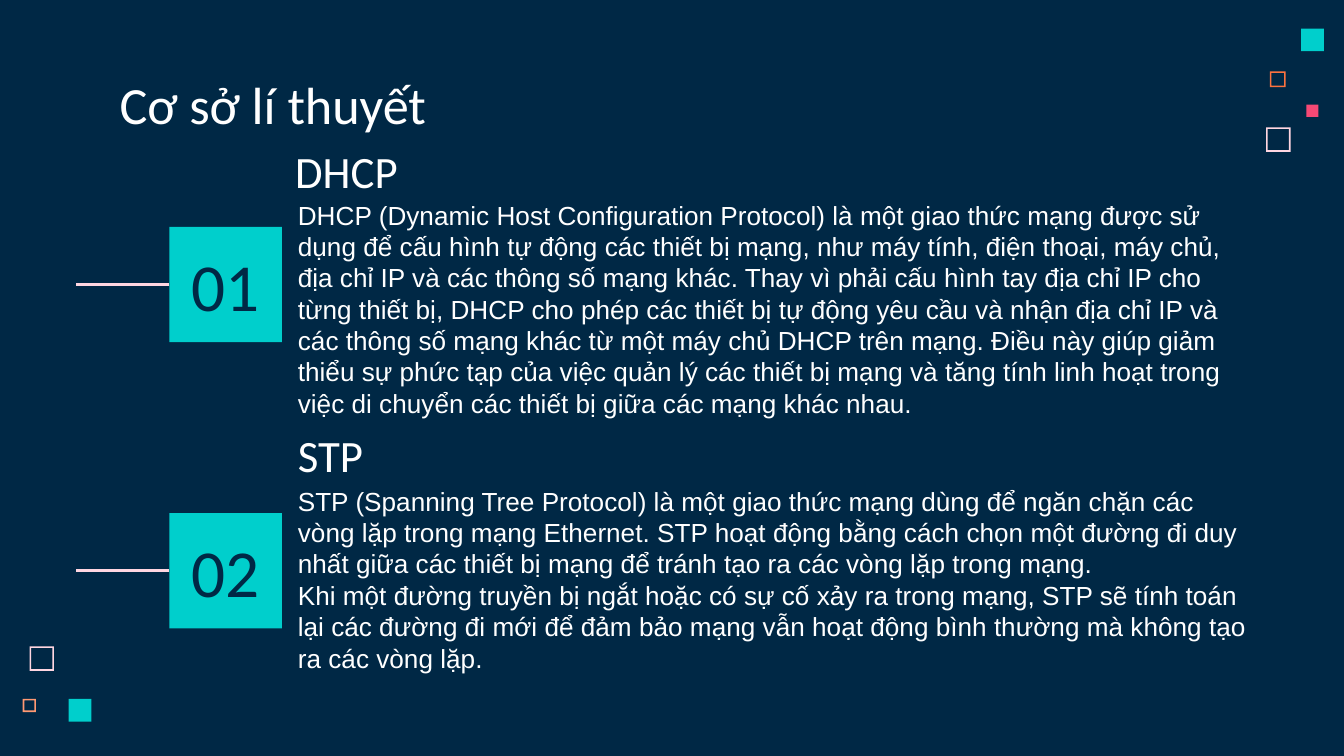
import pptx
import pptx.dml.color
import pptx.enum.shapes
import pptx.enum.text
import pptx.util
from lxml import etree

Cm = pptx.util.Cm
SHAPE = pptx.enum.shapes.MSO_SHAPE
ALIGN = pptx.enum.text.PP_ALIGN
ANCHOR = pptx.enum.text.MSO_ANCHOR

NAVY, WHITE, TEAL, PALE_PINK = "002845", "FFFFFF", "00CFCC", "FFD6E1"

# Content
TITLE = "Cơ sở lí thuyết"
TOPICS = [
    {
        "number": "01",
        "heading": "DHCP",
        "heading_left": 5.33,
        "heading_top": 2.72,
        "body": [
            "DHCP (Dynamic Host Configuration Protocol) là một giao thức mạng được sử "
            "dụng để cấu hình tự động các thiết bị mạng, như máy tính, điện thoại, máy chủ, "
            "địa chỉ IP và các thông số mạng khác. Thay vì phải cấu hình tay địa chỉ IP cho "
            "từng thiết bị, DHCP cho phép các thiết bị tự động yêu cầu và nhận địa chỉ IP và "
            "các thông số mạng khác từ một máy chủ DHCP trên mạng. Điều này giúp giảm "
            "thiểu sự phức tạp của việc quản lý các thiết bị mạng và tăng tính linh hoạt trong "
            "việc di chuyển các thiết bị giữa các mạng khác nhau.",
        ],
    },
    {
        "number": "02",
        "heading": "STP",
        "heading_left": 5.38,
        "heading_top": 8.08,
        "body": [
            "STP (Spanning Tree Protocol) là một giao thức mạng dùng để ngăn chặn các "
            "vòng lặp trong mạng Ethernet. STP hoạt động bằng cách chọn một đường đi duy "
            "nhất giữa các thiết bị mạng để tránh tạo ra các vòng lặp trong mạng.",
            "Khi một đường truyền bị ngắt hoặc có sự cố xảy ra trong mạng, STP sẽ tính toán "
            "lại các đường đi mới để đảm bảo mạng vẫn hoạt động bình thường mà không tạo "
            "ra các vòng lặp.",
        ],
    },
]
# Corner squares: shape, left, top, side, colour
CORNER_SQUARES = [
    (SHAPE.FRAME, 23.93, 2.41, 0.46, PALE_PINK),
    (SHAPE.FRAME, 24.0, 1.35, 0.3, "FC723F"),
    (SHAPE.RECTANGLE, 24.59, 0.54, 0.43, TEAL),
    (SHAPE.FRAME, 0.43, 13.21, 0.25, "FF9973"),
    (SHAPE.RECTANGLE, 24.69, 1.98, 0.23, "F64975"),
    (SHAPE.FRAME, 0.56, 12.22, 0.46, PALE_PINK),
    (SHAPE.RECTANGLE, 1.3, 13.21, 0.43, TEAL),
]
FRAME_THICKNESS = 0.03

# Layout in centimetres
TILE_LEFT, TILE_WIDTH, TILE_HEIGHT = 3.2, 2.13, 2.18
FIRST_TILE_TOP, TOPIC_PITCH = 4.29, 5.41
LINE_LEFT = 1.43
BODY_LEFT, BODY_RISE = 5.38, 0.78


def colour(value):
    return pptx.dml.color.RGBColor.from_string(value)


def write(shape, paragraphs, *, size, font, color=WHITE, align=ALIGN.LEFT, anchor=ANCHOR.TOP):
    frame = shape.text_frame
    frame.word_wrap = True
    frame.vertical_anchor = anchor
    frame.margin_left = frame.margin_right = Cm(0.25)
    frame.margin_top = frame.margin_bottom = Cm(0.25)
    for index, text in enumerate(paragraphs):
        para = frame.paragraphs[0] if index == 0 else frame.add_paragraph()
        para.alignment = align
        span = para.add_run()
        span.text = text
        span.font.size = pptx.util.Pt(size)
        span.font.name = font
        span.font.color.rgb = colour(color)


def add_text(page, paragraphs, left, top, width, height, **text_format):
    box = page.shapes.add_textbox(Cm(left), Cm(top), Cm(width), Cm(height))
    write(box, paragraphs, **text_format)


def add_block(page, kind, left, top, width, height, fill):
    block = page.shapes.add_shape(kind, Cm(left), Cm(top), Cm(width), Cm(height))
    block.shadow.inherit = False
    block.fill.solid()
    block.fill.fore_color.rgb = colour(fill)
    block.line.fill.background()
    return block


def add_line(page, start, end, y):
    line = page.shapes.add_connector(
        pptx.enum.shapes.MSO_CONNECTOR.STRAIGHT, Cm(start), Cm(y), Cm(end), Cm(y))
    line.line.color.rgb = colour(PALE_PINK)
    line.line.width = pptx.util.Pt(1.5)
    etree.SubElement(line._element.spPr, pptx.oxml.ns.qn("a:effectLst"))


def main():
    deck = pptx.Presentation()
    deck.slide_width, deck.slide_height = Cm(25.4), Cm(14.29)
    page = deck.slides.add_slide(deck.slide_layouts[6])
    page.background.fill.solid()
    page.background.fill.fore_color.rgb = colour(NAVY)

    # Corner decoration
    for kind, left, top, side, fill in CORNER_SQUARES:
        square = add_block(page, kind, left, top, side, side, fill)
        if kind == SHAPE.FRAME:
            square.adjustments[0] = FRAME_THICKNESS / side

    add_text(page, [TITLE], 2.01, 1.12, 21.41, 1.6, size=28, font="Calibri")

    # Numbered topics
    for index, topic in enumerate(TOPICS):
        top = FIRST_TILE_TOP + index * TOPIC_PITCH
        tile = add_block(page, SHAPE.RECTANGLE, TILE_LEFT, top, TILE_WIDTH, TILE_HEIGHT, TEAL)
        write(tile, [topic["number"]], size=36, font="Calibri", color=NAVY,
              align=ALIGN.CENTER, anchor=ANCHOR.MIDDLE)
        add_text(page, [topic["heading"]], topic["heading_left"], topic["heading_top"],
                 5.66, 1.27, size=24, font="Calibri", anchor=ANCHOR.BOTTOM)
        add_text(page, topic["body"], BODY_LEFT, top - BODY_RISE, 18.47, 1.35,
                 size=14, font="Arial")
        add_line(page, TILE_LEFT, LINE_LEFT, top + TILE_HEIGHT / 2)

    deck.save("out.pptx")


if __name__ == "__main__":
    main()
